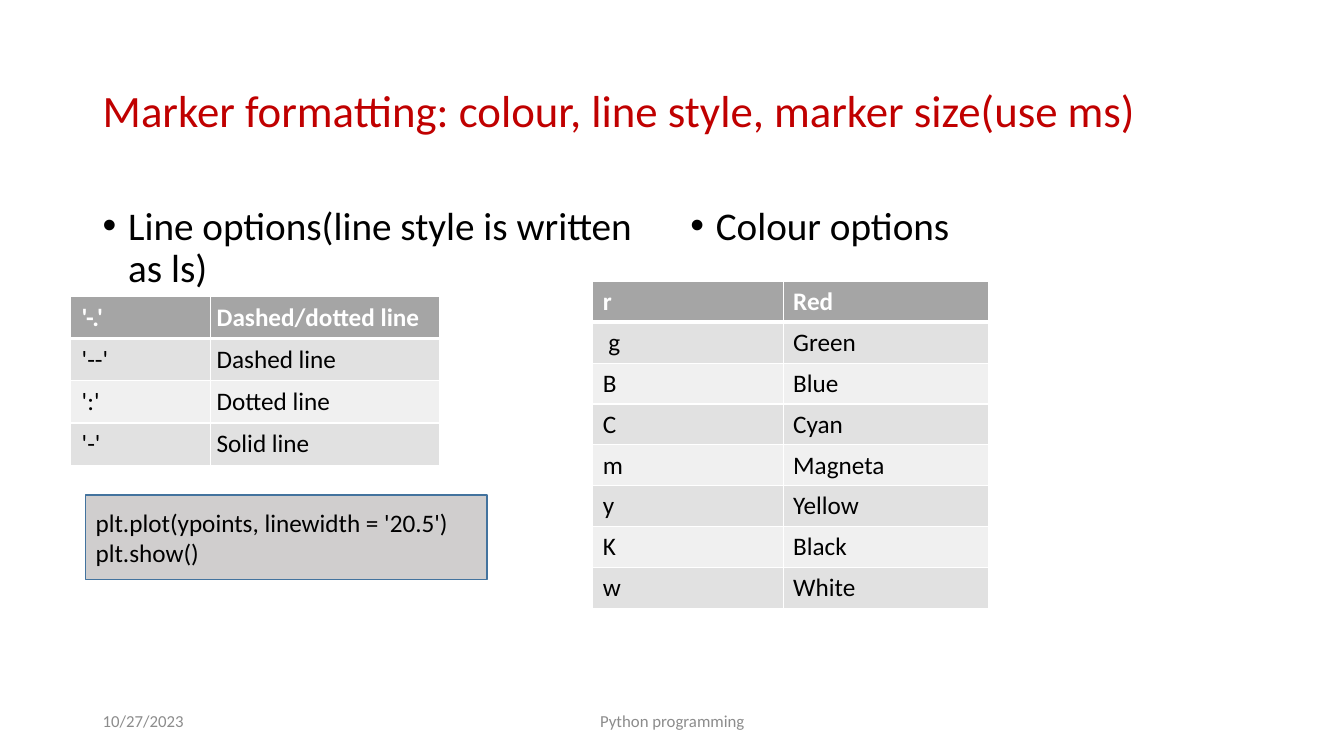
from dataclasses import dataclass

import lxml.etree
import pptx
import pptx.dml.color
import pptx.enum.shapes
import pptx.enum.text
import pptx.oxml.ns
import pptx.util
from pptx.util import Cm

FONT = "Calibri"
COLOURS = {
    "title": "C00000",
    "text": "000000",
    "footer": "8C8C8C",
    "white": "FFFFFF",
    "header": "A5A5A5",
    "odd band": "E1E1E1",
    "even band": "F0F0F0",
    "code fill": "D0CECE",
    "code line": "43739E",
}
ROW_HEIGHT = 1.03
Anchor = pptx.enum.text.MSO_ANCHOR
Align = pptx.enum.text.PP_ALIGN


@dataclass
class TextItem:
    text: str
    left: float
    top: float
    width: float
    height: float
    size: int
    colour: str
    anchor: Anchor = Anchor.MIDDLE
    align: Align = Align.LEFT
    line_spacing: float = 1.0
    bullet: bool = False


@dataclass
class OptionTable:
    left: float
    top: float
    column_widths: tuple[float, ...]
    rows: list[tuple[str, str]]
    left_margins: tuple[float, ...] = (0.25, 0.25)
    other_margin: float = 0.25
    vertical_margin: float = 0.13


TEXT_ITEMS = [
    TextItem("Marker formatting: colour, line style, marker size(use ms)",
             2.34, 1.02, 29.21, 3.68, 32, "title", line_spacing=0.9),
    TextItem("Line options(line style is written as ls)", 2.34, 5.08, 14.4, 12.09,
             28, "text", Anchor.TOP, line_spacing=0.9, bullet=True),
    TextItem("Colour options", 17.15, 5.08, 14.4, 12.09,
             28, "text", Anchor.TOP, line_spacing=0.9, bullet=True),
    TextItem("10/27/2023", 2.34, 17.65, 7.62, 1.02, 12, "footer"),
    TextItem("Python programming", 11.23, 17.65, 11.43, 1.02, 12, "footer",
             align=Align.CENTER),
]

LINE_STYLES = OptionTable(
    1.78, 7.47, (3.53, 5.77),
    [("'-.'", "Dashed/dotted line"), ("'--'", "Dashed line"),
     ("':'", "Dotted line"), ("'-'", "Solid line")],
    left_margins=(0.28, 0.15), other_margin=0.15, vertical_margin=0.15)

LINE_COLOURS = OptionTable(
    14.94, 7.09, (4.8, 5.18),
    [("r", "Red"), (" g", "Green"), ("B", "Blue"), ("C", "Cyan"),
     ("m", "Magneta"), ("y", "Yellow"), ("K", "Black"), ("w", "White")])


def rgb(name: str) -> pptx.dml.color.RGBColor:
    return pptx.dml.color.RGBColor.from_string(COLOURS[name])


def set_font(paragraph, size: int, colour: str, bold: bool = False) -> None:
    font = paragraph.font
    font.name = FONT
    font.size = pptx.util.Pt(size)
    font.bold = bold
    font.color.rgb = rgb(colour)


def add_bullet(paragraph) -> None:
    properties = paragraph._p.get_or_add_pPr()
    indent = Cm(0.64)
    properties.set("marL", str(indent))
    properties.set("indent", str(-indent))
    # The bullet elements stand before the default run properties
    font = lxml.etree.Element(pptx.oxml.ns.qn("a:buFont"), typeface="Arial")
    character = lxml.etree.Element(pptx.oxml.ns.qn("a:buChar"), char="•")
    defaults = properties.find(pptx.oxml.ns.qn("a:defRPr"))
    defaults.addprevious(font)
    defaults.addprevious(character)


def add_text(slide, item: TextItem) -> None:
    shape = slide.shapes.add_textbox(
        Cm(item.left), Cm(item.top), Cm(item.width), Cm(item.height))
    frame = shape.text_frame
    frame.word_wrap = True
    frame.vertical_anchor = item.anchor
    paragraph = frame.paragraphs[0]
    paragraph.text = item.text
    paragraph.alignment = item.align
    paragraph.line_spacing = item.line_spacing
    set_font(paragraph, item.size, item.colour)
    if item.bullet:
        paragraph.space_before = pptx.util.Pt(10)
        add_bullet(paragraph)


def set_borders(cell, row: int) -> None:
    properties = cell._tc.get_or_add_tcPr()
    widths = {"L": 1, "R": 1, "T": 3 if row == 1 else 1, "B": 3 if row == 0 else 1}
    for side, width in widths.items():
        line = lxml.etree.SubElement(
            properties, pptx.oxml.ns.qn(f"a:ln{side}"), w=str(pptx.util.Pt(width)))
        fill = lxml.etree.SubElement(line, pptx.oxml.ns.qn("a:solidFill"))
        lxml.etree.SubElement(
            fill, pptx.oxml.ns.qn("a:srgbClr"), val=COLOURS["white"])


def add_option_table(slide, options: OptionTable) -> None:
    row_count = len(options.rows)
    table = slide.shapes.add_table(
        row_count, len(options.column_widths), Cm(options.left), Cm(options.top),
        Cm(sum(options.column_widths)), Cm(ROW_HEIGHT * row_count)).table
    for column, width in zip(table.columns, options.column_widths):
        column.width = Cm(width)
    for row, texts in enumerate(options.rows):
        table.rows[row].height = Cm(ROW_HEIGHT)
        is_header = row == 0
        band = "header" if is_header else "odd band" if row % 2 else "even band"
        for column, text in enumerate(texts):
            cell = table.cell(row, column)
            set_borders(cell, row)
            cell.fill.solid()
            cell.fill.fore_color.rgb = rgb(band)
            cell.margin_left = Cm(options.left_margins[column])
            cell.margin_right = Cm(options.other_margin)
            cell.margin_top = cell.margin_bottom = Cm(options.vertical_margin)
            paragraph = cell.text_frame.paragraphs[0]
            paragraph.text = text
            set_font(paragraph, 18, "white" if is_header else "text", is_header)


def add_code_box(slide) -> None:
    shape = slide.shapes.add_shape(
        pptx.enum.shapes.MSO_SHAPE.RECTANGLE,
        Cm(2.16), Cm(12.47), Cm(10.11), Cm(2.13))
    shape.shadow.inherit = False
    shape.fill.solid()
    shape.fill.fore_color.rgb = rgb("code fill")
    shape.line.color.rgb = rgb("code line")
    shape.line.width = pptx.util.Pt(1)
    shape.text_frame.word_wrap = True
    shape.text_frame.vertical_anchor = Anchor.MIDDLE
    paragraph = shape.text_frame.paragraphs[0]
    paragraph.add_run().text = "plt.plot(ypoints, linewidth = '20.5')"
    paragraph.add_line_break()
    paragraph.add_run().text = "plt.show()"
    paragraph.alignment = Align.LEFT
    set_font(paragraph, 18, "text")


def main() -> None:
    presentation = pptx.Presentation()
    presentation.slide_width = Cm(33.87)
    presentation.slide_height = Cm(19.05)
    slide = presentation.slides.add_slide(presentation.slide_layouts[6])

    # Title, column headings and footer
    for item in TEXT_ITEMS:
        add_text(slide, item)

    # Option tables
    for options in (LINE_STYLES, LINE_COLOURS):
        add_option_table(slide, options)

    # Code sample
    add_code_box(slide)

    presentation.save("out.pptx")


if __name__ == "__main__":
    main()
